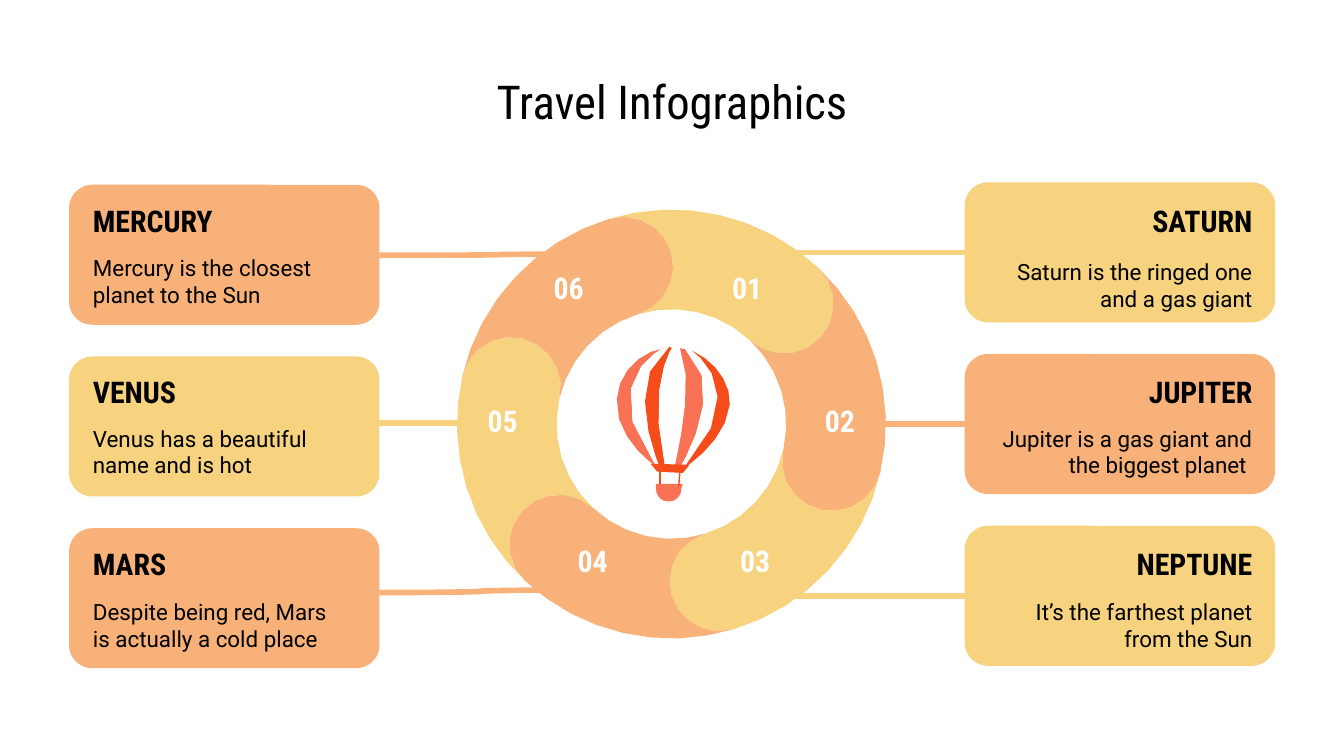
from math import cos, sin, radians

from lxml.etree import SubElement
from pptx import Presentation
from pptx.dml.color import RGBColor
from pptx.enum.shapes import MSO_CONNECTOR, MSO_SHAPE
from pptx.enum.text import MSO_ANCHOR, PP_ALIGN
from pptx.oxml.ns import qn
from pptx.util import Pt

ORANGE, YELLOW = "F8B179", "F7D380"
CORAL, RED, WHITE, BLACK = "FA7256", "F54C19", "FFFFFF", "000000"
CONDENSED, REGULAR = "Roboto Condensed", "Roboto"

CARD_WIDTH, CARD_HEIGHT, CARD_STEP = 166.3, 75, 92
RING_CENTER = (359.7, 227.2)
RING_OUTER, RING_INNER = 114.9, 61.5

# Heading, body, top of body, colour, y at card, far end of the line
LEFT_CARDS = [
    ("MERCURY", "Mercury is the closest planet to the Sun", 128.9, ORANGE, 136.8, (330.5, 136.1)),
    ("VENUS", "Venus has a beautiful name and is hot", 220.3, YELLOW, 226.8, (279.4, 226.8)),
    ("MARS", "Despite being red, Mars is actually a cold place", 313.2, ORANGE, 317.5, (311, 316.1)),
]
# Heading, body, top of body, colour, far end of the line
RIGHT_CARDS = [
    ("SATURN", "Saturn is the ringed one and a gas giant", 131, YELLOW, 386),
    ("JUPITER", "Jupiter is a gas giant and the biggest planet ", 220.3, ORANGE, 433.4),
    ("NEPTUNE", "It’s the farthest planet from the Sun", 313.2, YELLOW, 386.6),
]
# Centres of the ring numbers, clockwise from 01
NUMBER_CENTERS = [(400.3, 150.8), (450, 222.1), (404.6, 297),
                  (317.5, 297), (269.3, 222.1), (304.6, 150.8)]

# Seams of the balloon from left to right, each from bottom to top:
# a start point, then curves given by two handles and an end
SEAMS = [
    [(351.4, 249.8), (347, 247, 329, 232.6, 330.5, 213.8), (331.2, 199.4, 343.4, 187.9, 356.4, 186.5)],
    [(351.4, 249.8), (318.2, 204.5, 354.2, 187.2, 354.2, 187.2)],
    [(353.5, 250.6), (352.1, 246.2, 333.4, 203.8, 358.6, 185.8)],
    [(356.4, 250.6), (346.3, 205.9, 360, 186.5, 360, 186.5)],
    [(361.4, 250.6), (361.4, 248.4, 373, 205.9, 364.3, 186.5)],
    [(364.3, 250.6), (366.5, 247, 390.2, 206.6, 367.2, 187.2)],
    [(366.5, 250.6), (401.8, 211.7, 375.1, 190.8, 370.8, 187.9)],
    [(366.5, 250.6), (371.5, 247.7, 389.5, 234, 391, 216.7), (391.7, 204.5, 382.3, 193, 370.8, 187.9)],
]
STRIPE_COLORS = [CORAL, WHITE, RED, WHITE, CORAL, WHITE, RED]
BASKET = [(351.4, 259.2), (351.4, 261.4), (351.4, 265.7, 354.2, 268.6, 357.8, 268.6),
          (358.6, 268.6), (362.2, 268.6, 365, 265.7, 365, 262.1), (365.8, 259.2)]
COLLAR = [(365.8, 253.4), (352.1, 252.7), (348.5, 248.4), (369.4, 249.1)]
ROPES = [((353.5, 259.2), (353.5, 249.8)), ((363.6, 260.6), (364.3, 252))]


def color(value):
    return RGBColor.from_string(value)


def paint(shape, fill):
    shape.fill.solid()
    shape.fill.fore_color.rgb = color(fill)
    shape.line.fill.background()
    shape.shadow.inherit = False


def place(shape, left, top, width, height):
    shape.left, shape.top = Pt(left), Pt(top)
    shape.width, shape.height = Pt(width), Pt(height)


def write(box, text, font=REGULAR, size=12, fill=BLACK, bold=False,
          align=PP_ALIGN.LEFT, anchor=MSO_ANCHOR.TOP):
    frame = box.text_frame
    frame.word_wrap = True
    frame.vertical_anchor = anchor
    frame.margin_left = frame.margin_right = Pt(7.2)
    frame.margin_top = frame.margin_bottom = Pt(7.2)
    para = frame.paragraphs[0]
    para.alignment = align
    span = para.add_run()
    span.text = text
    span.font.name, span.font.size, span.font.bold = font, Pt(size), bold
    span.font.color.rgb = color(fill)


def add_text(page, text, left, top, width, height, **style):
    box = page.shapes.add_textbox(Pt(left), Pt(top), Pt(width), Pt(height))
    write(box, text, **style)


def add_line(page, start, end, fill, width=3, kind=MSO_CONNECTOR.STRAIGHT):
    line = page.shapes.add_connector(kind, *(Pt(n) for n in (*start, *end)))
    line.line.color.rgb = color(fill)
    line.line.width = Pt(width)
    SubElement(line._element.spPr, qn("a:effectLst"))
    return line


def add_outline(page, points, fill):
    points = [(Pt(x), Pt(y)) for x, y in points]
    builder = page.shapes.build_freeform(*points[0])
    builder.add_line_segments(points[1:], close=True)
    paint(builder.convert_to_shape(), fill)


def trace(steps, count=5):
    """Turn points and cubic curves into a list of points."""
    points = [steps[0]]
    for step in steps[1:]:
        if len(step) == 2:
            points.append(step)
            continue
        corners = [points[-1], step[:2], step[2:4], step[4:]]
        for i in range(1, count + 1):
            t = i / count
            weights = ((1 - t) ** 3, 3 * t * (1 - t) ** 2, 3 * t * t * (1 - t), t ** 3)
            points.append(tuple(sum(w * c[axis] for w, c in zip(weights, corners))
                                for axis in (0, 1)))
    return points


def on_circle(center, radius, angle):
    return (center[0] + radius * cos(radians(angle)),
            center[1] + radius * sin(radians(angle)))


def arc(center, radius, start, end, count):
    """Points along an arc, without the last, where the next arc begins."""
    return [on_circle(center, radius, start + (end - start) * i / count) for i in range(count)]


def add_ring(page):
    middle, cap = (RING_OUTER + RING_INNER) / 2, (RING_OUTER - RING_INNER) / 2
    for i in range(6):
        tail = 253 + 60 * i
        head = tail + 60
        points = (arc(RING_CENTER, RING_OUTER, tail, head, 8)
                  + arc(on_circle(RING_CENTER, middle, head), cap, head, head + 180, 10)
                  + arc(RING_CENTER, RING_INNER, head, tail, 6)
                  + arc(on_circle(RING_CENTER, middle, tail), cap, tail + 180, tail, 10))
        add_outline(page, points, ORANGE if i % 2 else YELLOW)


def add_balloon(page):
    add_outline(page, trace(BASKET), CORAL)
    for start, end in ROPES:
        add_line(page, start, end, RED, width=0.75)
    for left, right, fill in zip(SEAMS, SEAMS[1:], STRIPE_COLORS):
        add_outline(page, trace(left) + trace(right)[::-1], fill)
    add_outline(page, COLLAR, RED)


def add_card(page, row, left, first_top, fill, heading, body, body_top, text_left, align):
    card = page.shapes.add_shape(MSO_SHAPE.ROUNDED_RECTANGLE, Pt(left),
                                 Pt(first_top + row * CARD_STEP), Pt(CARD_WIDTH), Pt(CARD_HEIGHT))
    card.adjustments[0] = 0.167
    paint(card, fill)
    add_text(page, heading, text_left, 101.4 + 91.8 * row, 149.8, 26.6,
             font=CONDENSED, size=16, bold=True, align=align)
    add_text(page, body, text_left, body_top, 149.8, 43.5, align=align)
    return card


def main():
    deck = Presentation()
    deck.slide_width, deck.slide_height = Pt(720), Pt(405)
    page = deck.slides.add_slide(deck.slide_layouts[5])

    # Title
    title = page.shapes.title
    place(title, 36, 35.3, 648, 41)
    write(title, "Travel Infographics", font=CONDENSED, size=25,
          align=PP_ALIGN.CENTER, anchor=MSO_ANCHOR.BOTTOM)

    # Ring
    add_ring(page)

    # Cards with their lines to the ring
    for row, (heading, body, body_top, fill, line_y, end) in enumerate(LEFT_CARDS):
        add_card(page, row, 37, 99, fill, heading, body, body_top, 42.7, PP_ALIGN.LEFT)
        add_line(page, (37 + CARD_WIDTH, line_y), end, fill, kind=MSO_CONNECTOR.CURVE)
    for row, (heading, body, body_top, fill, end_x) in enumerate(RIGHT_CARDS):
        card = add_card(page, row, 516.8, 97.7, fill, heading, body, body_top, 528.2, PP_ALIGN.RIGHT)
        middle = 97.7 + row * CARD_STEP + CARD_HEIGHT / 2
        line = add_line(page, (516.8, middle), (end_x, middle), fill)
        line.begin_connect(card, 1)

    # Balloon and ring numbers
    add_balloon(page)
    for number, (x, y) in enumerate(NUMBER_CENTERS, start=1):
        add_text(page, f"{number:02}", x - 38, y - 13.3, 76, 26.6, font=CONDENSED,
                 size=16, bold=True, fill=WHITE, align=PP_ALIGN.CENTER)

    deck.save("out.pptx")


if __name__ == "__main__":
    main()
